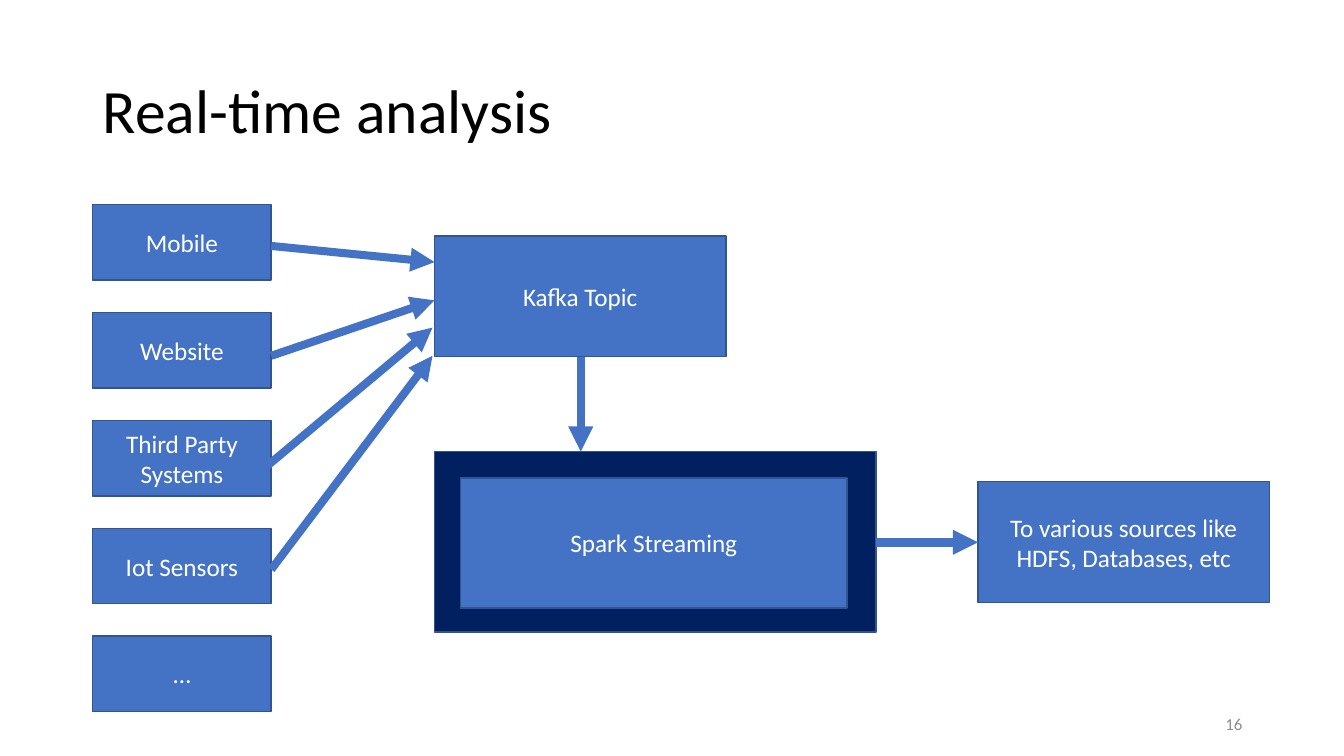
from lxml import etree
from pptx import Presentation
from pptx import util as u
from pptx.dml.color import RGBColor
from pptx.enum import shapes, text
from pptx.oxml.ns import qn

WIDE, HIGH = 13.33, 7.5
BLUE, EDGE, NAVY, WHITE = "4472C4", "325491", "002060", "FFFFFF"
TITLE = "Real-time analysis"
NUMBER = "16"
FEEDS = ["Mobile", "Website", "Third Party Systems", "Iot Sensors", "…"]
LEFT, TOP, PITCH = 0.92, 2.03, 1.07
FEED = (1.77, 0.75)
STAGE = (2.89, 1.2)
MID = 4.31
BOXES = [
    ("Kafka Topic", (MID, 2.34, *STAGE), BLUE),
    ("To various sources like HDFS, Databases, etc", (9.7, 4.78, *STAGE), BLUE),
    ("", (MID, 4.48, 4.38, 1.79), NAVY),
    ("Spark Streaming", (MID + 0.26, 4.74, 3.83, 1.29), BLUE),
]
EXIT = LEFT + FEED[0]
ARROWS = [
    ((EXIT, 2.44), (MID, 2.6), 5.75),
    ((EXIT, 3.53), (MID, 2.98), 5.75),
    ((2.39, 4.84), (4.29, 3.25), 5.75),
    ((EXIT, 5.65), (4.29, 3.53), 5.75),
    ((5.76, 3.54), (5.76, 4.48), 6),
    ((8.69, 5.38), (9.7, 5.38), 6),
]


def tint(code):
    return RGBColor.from_string(code)


def write(shape, words, size, color, align):
    frame = shape.text_frame
    form = {"word_wrap": True, "auto_size": text.MSO_AUTO_SIZE.NONE,
            "vertical_anchor": text.MSO_ANCHOR.MIDDLE}
    for key, value in form.items():
        setattr(frame, key, value)
    para = frame.paragraphs[0]
    para.alignment = align
    run = para.add_run()
    run.text = words
    for key, value in {"name": "Calibri", "size": u.Pt(size)}.items():
        setattr(run.font, key, value)
    run.font.color.rgb = tint(color)
    return para


def box(slide, words, area, fill):
    shape = slide.shapes.add_shape(shapes.MSO_SHAPE.RECTANGLE, *map(u.Inches, area))
    shape.shadow.inherit = False
    shape.fill.solid()
    shape.fill.fore_color.rgb = tint(fill)
    shape.line.color.rgb = tint(EDGE)
    shape.line.width = u.Pt(1)
    if words:
        write(shape, words, 18, WHITE, text.PP_ALIGN.CENTER)


def arrow(slide, start, end, width):
    link = slide.shapes.add_connector(
        shapes.MSO_CONNECTOR.STRAIGHT, *map(u.Inches, start + end))
    link.line.color.rgb = tint(BLUE)
    link.line.width = u.Pt(width)
    props = link._element.spPr
    etree.SubElement(props.find(qn("a:ln")), qn("a:tailEnd"), type="triangle")
    etree.SubElement(props, qn("a:effectLst"))


def main():
    deck = Presentation()
    deck.slide_width, deck.slide_height = u.Inches(WIDE), u.Inches(HIGH)
    slide = deck.slides.add_slide(deck.slide_layouts[5])

    title = slide.shapes.title
    area = {"left": LEFT, "top": 0.4, "width": 11.5, "height": 1.45}
    for key, value in area.items():
        setattr(title, key, u.Inches(value))
    write(title, TITLE, 44, "000000", text.PP_ALIGN.LEFT).line_spacing = 0.9

    page = slide.shapes.add_textbox(*map(u.Inches, (9.42, 6.98, 3, 0.4)))
    write(page, NUMBER, 12, "8C8C8C", text.PP_ALIGN.RIGHT)

    for row, words in enumerate(FEEDS):
        box(slide, words, (LEFT, TOP + row * PITCH, *FEED), BLUE)
    for item in BOXES:
        box(slide, *item)
    for item in ARROWS:
        arrow(slide, *item)
    deck.save("out.pptx")


if __name__ == "__main__":
    main()
